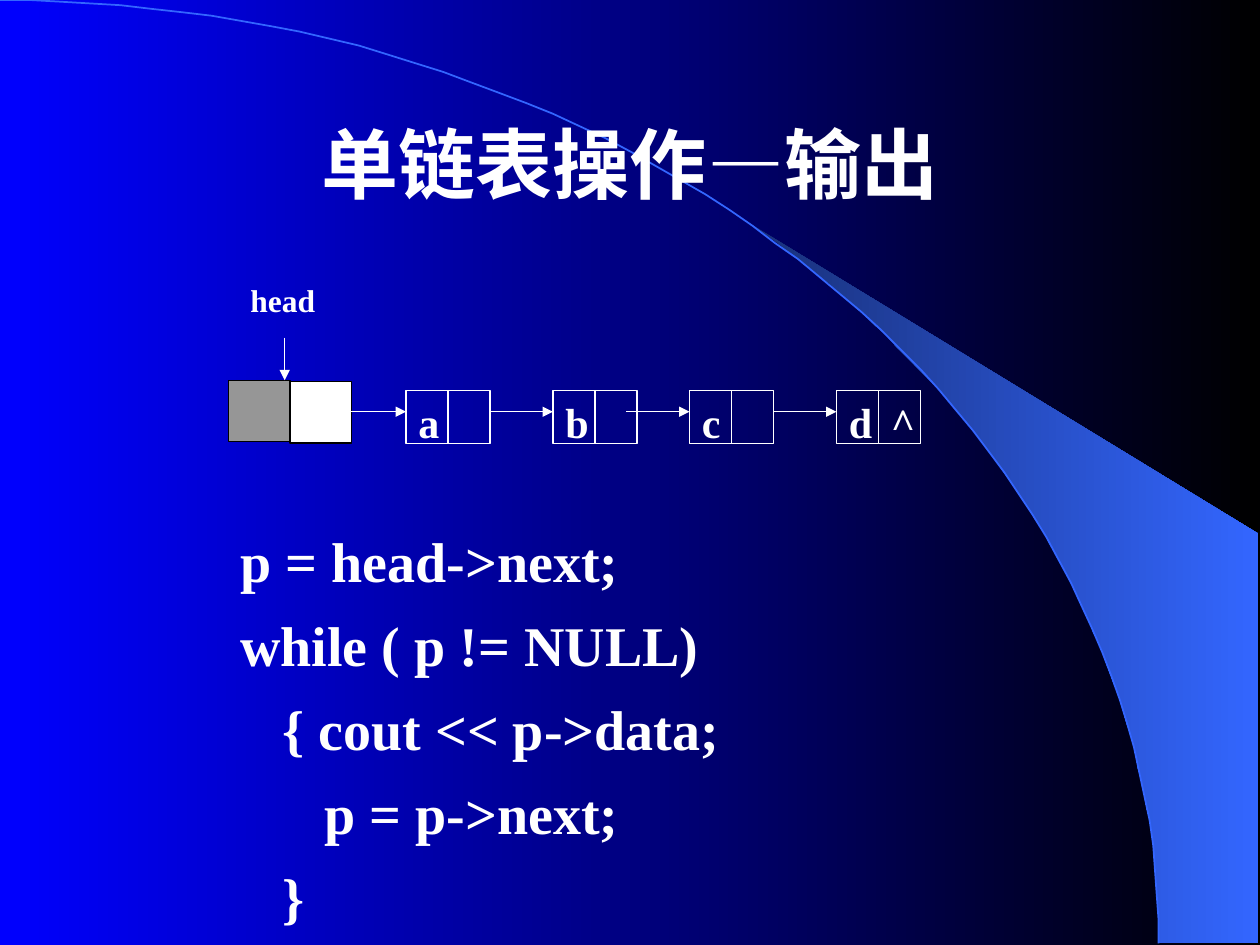
from math import asin, cos, pi, sin

from lxml.etree import SubElement
from pptx import Presentation
from pptx.dml.color import RGBColor
from pptx.enum.shapes import MSO_CONNECTOR, MSO_SHAPE
from pptx.enum.text import MSO_ANCHOR, PP_ALIGN
from pptx.oxml.ns import qn
from pptx.util import Pt


def paint(target, *colors):
    """Fill with one colour, or with a left-to-right gradient of two."""
    if len(colors) == 1:
        target.solid()
        target.fore_color.rgb = RGBColor.from_string(colors[0])
        return
    target.gradient()
    target.gradient_angle = 0
    for stop, color in zip(target.gradient_stops, colors):
        stop.color.rgb = RGBColor.from_string(color)


def add_text(left, top, width, height, lines, size):
    """Add a bold white text box; return its text frame."""
    frame = page.shapes.add_textbox(Pt(left), Pt(top), Pt(width), Pt(height)).text_frame
    frame.word_wrap = True
    for number, line in enumerate(lines):
        paragraph = frame.add_paragraph() if number else frame.paragraphs[0]
        paragraph.text = line
        paragraph.font.name = "Times New Roman"
        paragraph.font.size = Pt(size)
        paragraph.font.bold = True
        paint(paragraph.font.fill, "FFFFFF")
    return frame


deck = Presentation()
deck.slide_width, deck.slide_height = Pt(720), Pt(540)
page = deck.slides.add_slide(deck.slide_layouts[6])
paint(page.background.fill, "0000FF", "000000")

# Quarter ellipse centred on the bottom left corner, with a beam touching it
radius_x, radius_y = 662.4, 539.3
beam_left, beam_right = 424, 719.3
steps = 60
beam_start = asin(beam_left / radius_x)
arc, beam_edge = [
    [(radius_x * sin(angle), radius_y * (1 - cos(angle)))
     for angle in (start + (pi / 2 - start) * step / steps for step in range(steps + 1))]
    for start in (0, beam_start)
]
beam_outline = beam_edge + [(beam_right, radius_y), (beam_right, 304.6)]
for points, closed in ((beam_outline, True), (arc, False)):
    builder = page.shapes.build_freeform(*points[0], scale=Pt(1))
    builder.add_line_segments(points[1:], close=closed)
    curve = builder.convert_to_shape()
    curve.shadow.inherit = False
    if closed:
        paint(curve.fill, "182F76", "3366FF")
        curve.line.fill.background()
    else:
        curve.fill.background()
        paint(curve.line.fill, "3366FF")
        curve.line.width = Pt(1)

# Title
title = add_text(54, 48, 612, 90, [""], 44)
title.vertical_anchor = MSO_ANCHOR.MIDDLE
heading = title.paragraphs[0]
heading.alignment = PP_ALIGN.CENTER
for words, font_name in (("单链表操作", "Arial"), ("—", "Times New Roman"), ("输出", "Arial")):
    span = heading.add_run()
    span.text = words
    span.font.name = font_name

# Linked list: head cells, then four nodes of two cells each
cell_width, cell_height, cell_top = 24, 30, 223.3
node_lefts = {"a": 232, "b": 316, "c": 394, "d": 478}
cells = [(130.5, 217.3, 35.2, 35.2, "969696", "000000"),
         (165.7, 218, 35.2, 35.2, "FFFFFF", "000000")]
cells += [(left + offset, cell_top, cell_width, cell_height, None, "FFFFFF")
          for left in node_lefts.values() for offset in (0, cell_width)]
for left, top, width, height, fill_color, line_color in cells:
    cell = page.shapes.add_shape(MSO_SHAPE.RECTANGLE, Pt(left), Pt(top), Pt(width), Pt(height))
    cell.shadow.inherit = False
    if fill_color:
        paint(cell.fill, fill_color)
    else:
        cell.fill.background()
    paint(cell.line.fill, line_color)
    cell.line.width = Pt(0.75)

add_text(136, 157, 88.5, 36, ["head"], 18)
labels = [(left, cell_width, letter) for letter, left in node_lefts.items()]
labels.append((node_lefts["d"] + cell_width, 30, "^"))
for left, width, letter in labels:
    label = add_text(left, cell_top, width, 36, [letter], 24)
    label.paragraphs[0].space_before = Pt(15)

# Arrows
arrow_y, arrow_length = 235.3, 36
arrows = [(162.7, 193, 162.7, 217.3)]
arrows += [(left - arrow_length, arrow_y, left, arrow_y) for left in node_lefts.values()]
for ends in arrows:
    arrow = page.shapes.add_connector(MSO_CONNECTOR.STRAIGHT, *map(Pt, ends))
    paint(arrow.line.fill, "FFFFFF")
    arrow.line.width = Pt(0.75)
    SubElement(arrow.line._get_or_add_ln(), qn("a:tailEnd"), type="triangle")
    SubElement(arrow.element.spPr, qn("a:effectLst"))

# Code
code = {"p = head->next;": 0, "while ( p != NULL)": 0, "{ cout << p->data;": 1,
        "p = p->next;": 2, "}": 1}
listing = add_text(130.3, 288, 371.5, 247.7, code, 32)
for paragraph, level in zip(listing.paragraphs, code.values()):
    paragraph.line_spacing = 1.25
    paragraph._p.get_or_add_pPr().set("marL", str(Pt(24 * level)))

deck.save("out.pptx")
